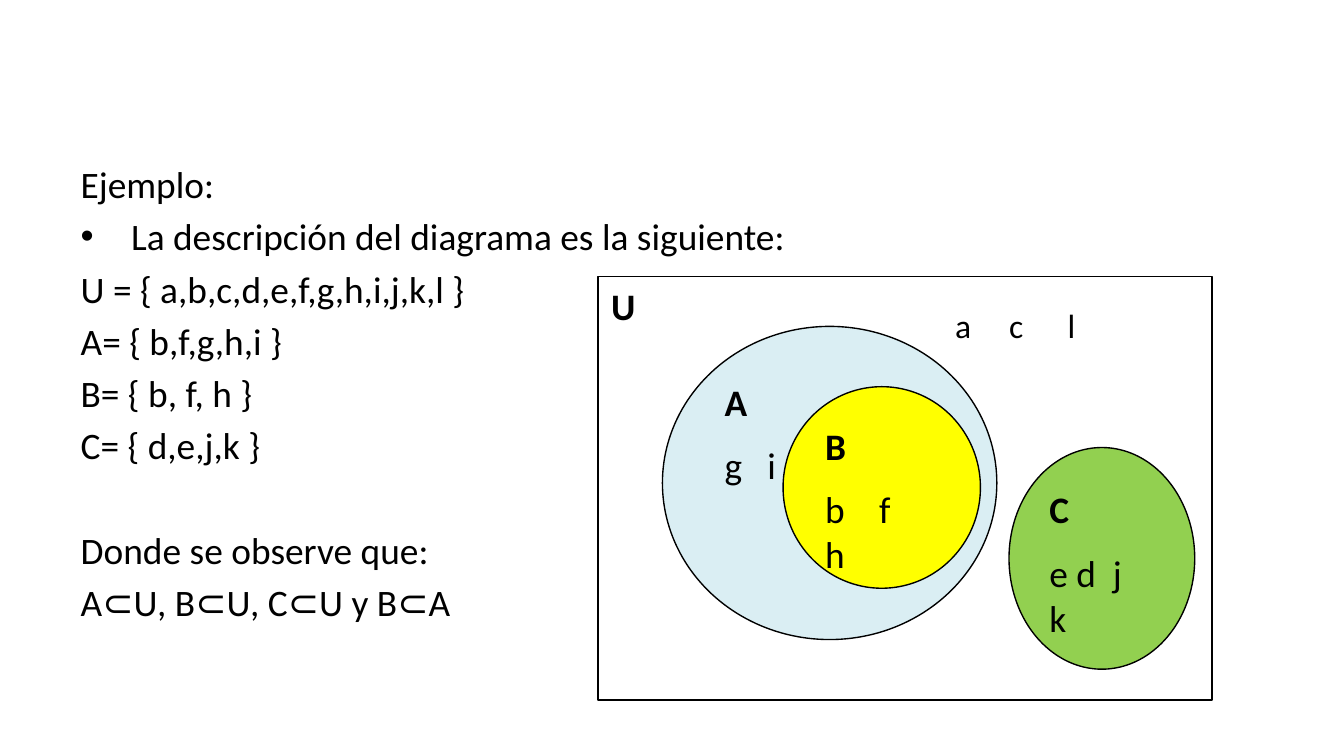
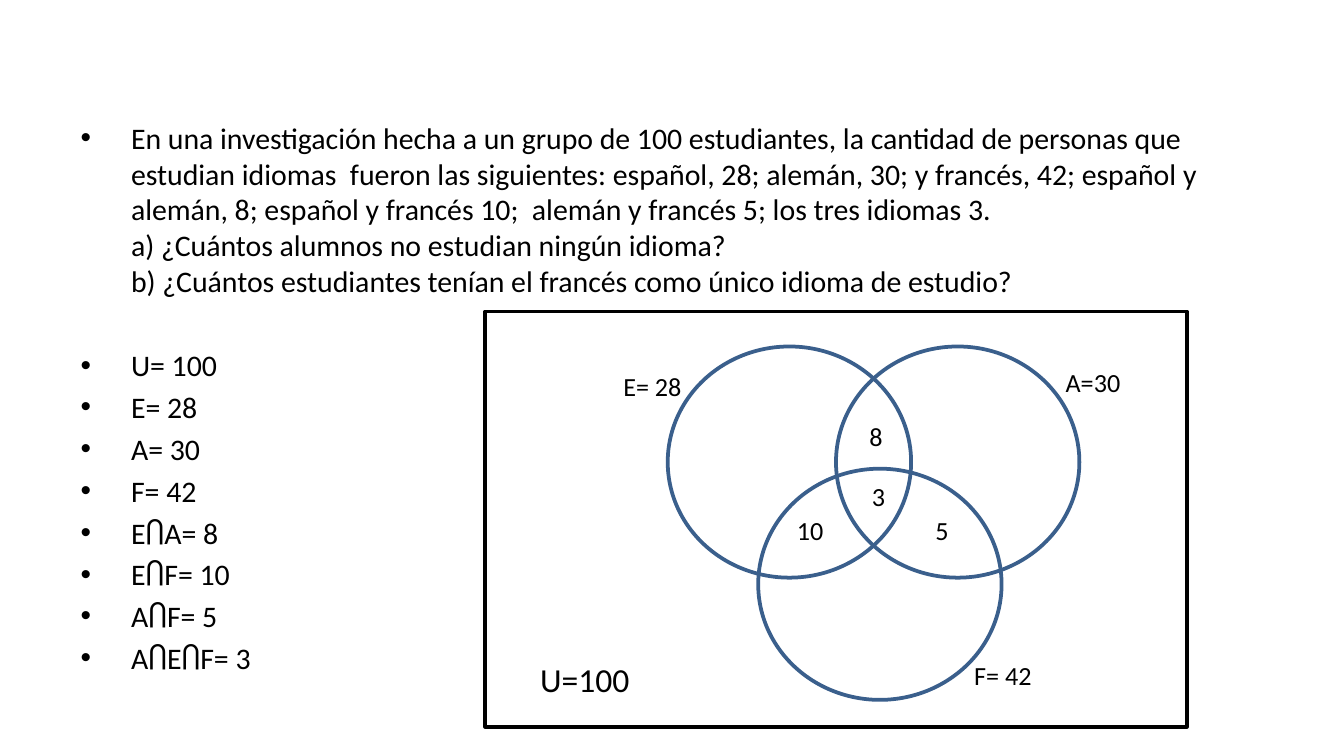
from copy import deepcopy

from lxml import etree
from pptx import Presentation
from pptx.dml.color import RGBColor
from pptx.enum import shapes, text
from pptx.oxml import ns
from pptx.util import Cm, Pt

FONT = "Calibri"
BLACK = RGBColor(0x00, 0x00, 0x00)
WHITE = RGBColor(0xFF, 0xFF, 0xFF)
PALE_BLUE = RGBColor(0xDA, 0xEE, 0xF3)
YELLOW = RGBColor(0xFF, 0xFF, 0x00)
GREEN = RGBColor(0x92, 0xD0, 0x50)
CIRCLE_BLUE = RGBColor(0x3A, 0x5F, 0x8C)
RECT = shapes.MSO_SHAPE.RECTANGLE
OVAL = shapes.MSO_SHAPE.OVAL


def write(tf, words, size, bold=False, before=None, after=None,
          bullet=None, tabs=(), first=False):
    """Add a paragraph; bullet=False hides the bullet, tabs are stops in cm."""
    p = tf.paragraphs[0] if first else tf.add_paragraph()
    p.text = words
    for r in p.runs:
        r.font.name, r.font.size, r.font.bold = FONT, Pt(size), bold
        r.font.color.rgb = BLACK
    for br in p._p.findall(ns.qn("a:br")):
        br.append(deepcopy(p.runs[0]._r.rPr))
    p.alignment = text.PP_ALIGN.LEFT
    if before is not None:
        p.space_before = Pt(before)
    if after is not None:
        p.space_after = Pt(after)
    pPr = p._p.get_or_add_pPr()
    if bullet is False:
        etree.SubElement(pPr, ns.qn("a:buNone"))
    if tabs:
        stops = etree.SubElement(pPr, ns.qn("a:tabLst"))
        for pos in tabs:
            etree.SubElement(stops, ns.qn("a:tab"), pos=str(Cm(pos)), algn="l")
    return p


def place(box, x, y, w, h):
    return Cm(box[0] + x), Cm(box[1] + y), Cm(w), Cm(h)


def add_outline(parent, kind, where, line, width, fill=None):
    sp = parent.shapes.add_shape(kind, *where)
    sp.shadow.inherit = False
    if fill is None:
        sp.fill.background()
    else:
        sp.fill.solid()
        sp.fill.fore_color.rgb = fill
    sp.line.color.rgb, sp.line.width = line, Pt(width)
    sp.text_frame.vertical_anchor = text.MSO_ANCHOR.TOP
    return sp


def add_label(s, where, words, size, **fmt):
    tf = s.shapes.add_textbox(*where).text_frame
    tf.word_wrap = True
    write(tf, words, size, first=True, **fmt)


def add_slide(prs, box, size, items):
    """Add a slide whose body holds items of (words, format)."""
    s = prs.slides.add_slide(prs.slide_layouts[1])
    title = s.shapes.title._element
    title.getparent().remove(title)
    body = s.placeholders[1]
    body.left, body.top, body.width, body.height = place(box, 0, 0, *box[2:])
    tf = body.text_frame
    tf.auto_size = text.MSO_AUTO_SIZE.NONE
    for i, (words, fmt) in enumerate(items):
        write(tf, words, size, first=i == 0, **fmt)
    return s


def subset_diagram(s, box):
    group = s.shapes.add_group_shape()
    sets = [
        (RECT, (0, 0, *box[2:]), WHITE, "U", None, ()),
        (OVAL, (1.22, 0.94, 6.32, 5.92), PALE_BLUE, "A", "g\ti", [0.81]),
        (OVAL, (3.5, 2.08, 3.73, 3.81), YELLOW, "B", "b\tf\vh", [1.02]),
        (OVAL, (7.77, 3.23, 3.51, 4.19), GREEN, "C", "e d\tj\vk", [1.2]),
    ]
    for kind, rel, fill, name, members, tabs in sets:
        sp = add_outline(group, kind, place(box, *rel), BLACK, 0.75, fill)
        tf = sp.text_frame
        write(tf, name, 20, bold=True, after=10, first=True)
        if members:
            write(tf, members, 20, after=10, tabs=tabs)
    add_label(s, place(box, 6.5, 0.41, 4.78, 1.02), "a\tc\tl", 18,
              tabs=[1.02, 2.13])


def language_diagram(s, box):
    add_outline(s, RECT, place(box, 0, 0, *box[2:]), BLACK, 2)
    for x, y in [(5.16, 2.97), (3.45, 0.66), (6.63, 0.66)]:
        add_outline(s, OVAL, place(box, x, y, 4.6, 4.37), CIRCLE_BLUE, 2)
    labels = [
        ("F= 42", 8.99, 6.45, 1.73), ("E= 28", 2.36, 0.99, 1.73),
        ("A=30", 10.72, 0.91, 1.65), ("8", 7.01, 1.93, 0.7),
        ("10", 5.64, 3.71, 1.6), ("3", 7.06, 3.07, 0.7),
        ("5", 8.26, 3.71, 0.7),
    ]
    for words, x, y, w in labels:
        add_label(s, place(box, x, y, w, 0.86), words, 14)
    add_label(s, place(box, 0.79, 6.45, 2.69, 1.02), "U=100", 18)


def subset_slide(prs):
    plain = {"bullet": False}
    s = add_slide(prs, (1.27, 2.92, 22.86, 14.66), 20, [
        ("Ejemplo:", plain),
        ("La descripción del diagrama es la siguiente:", {}),
        ("U = { a,b,c,d,e,f,g,h,i,j,k,l }", plain),
        ("A= { b,f,g,h,i }", plain),
        ("B= { b, f, h }", plain),
        ("C= { d,e,j,k }", plain),
        ("Donde se observe que:", {"bullet": False, "before": 32}),
        ("A⊂U, B⊂U, C⊂U y B⊂A", plain),
    ])
    subset_diagram(s, (11.3, 5.23, 11.61, 8))


def language_slide(prs):
    problem = (
        "En una investigación hecha a un grupo de 100 estudiantes, la cantidad "
        "de personas que estudian idiomas  fueron las siguientes: español, 28; "
        "alemán, 30; y francés, 42; español y alemán, 8; español y francés 10;  "
        "alemán y francés 5; los tres idiomas 3.\v"
        "a) ¿Cuántos alumnos no estudian ningún idioma?\v"
        "b) ¿Cuántos estudiantes tenían el francés como único idioma de estudio?"
    )
    counts = ["E= 28", "A= 30", "F= 42", "EႶA= 8", "EႶF= 10", "AႶF= 5",
              "AႶEႶF= 3"]
    s = add_slide(prs, (1.27, 2.13, 22.86, 12.19), 16, [
        (problem, {}),
        ("U= 100", {"before": 26}),
        *[(count, {}) for count in counts],
    ])
    language_diagram(s, (9.17, 5.89, 13.26, 7.85))


def main():
    prs = Presentation()
    prs.slide_width, prs.slide_height = Cm(25.4), Cm(14.29)
    subset_slide(prs)
    language_slide(prs)
    prs.save("out.pptx")


if __name__ == "__main__":
    main()
